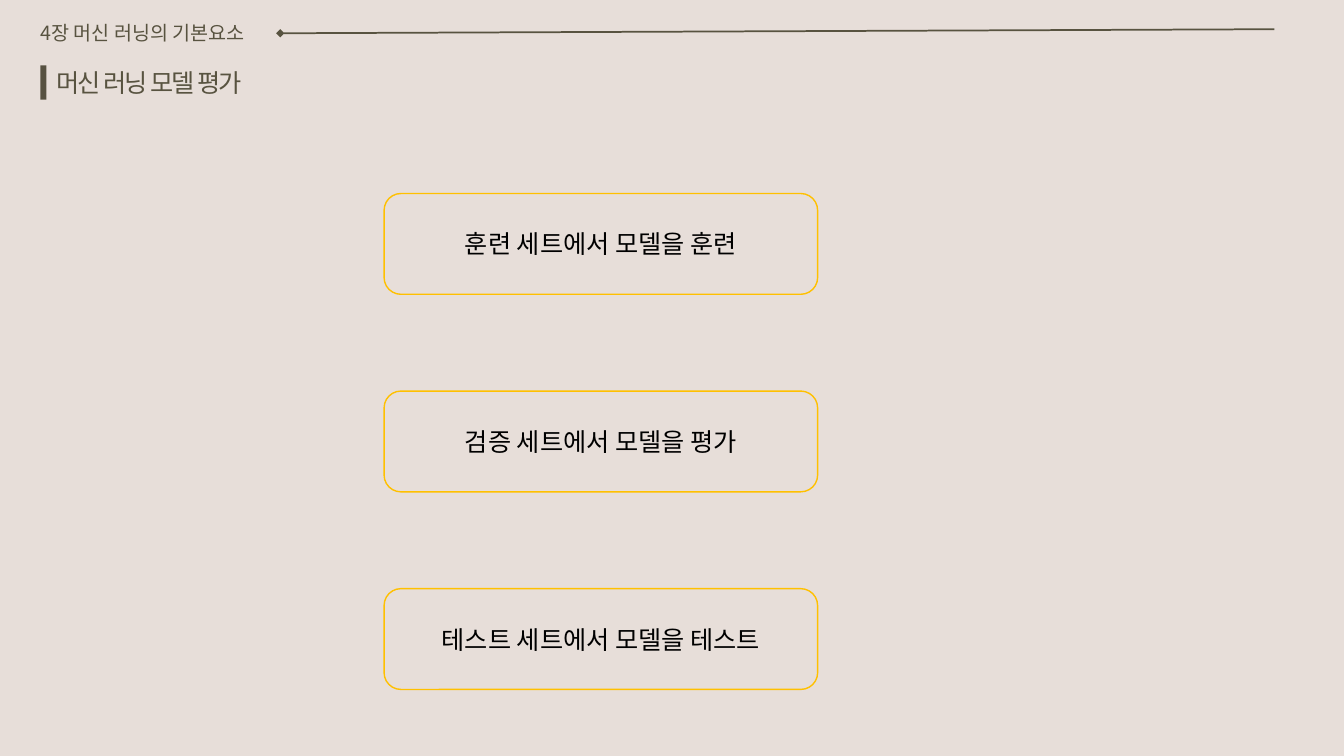
from dataclasses import dataclass

from lxml import etree
from pptx import Presentation
from pptx.dml.color import RGBColor
from pptx.enum.shapes import MSO_CONNECTOR, MSO_SHAPE
from pptx.enum.text import MSO_ANCHOR, PP_ALIGN
from pptx.oxml.ns import qn
from pptx.util import Inches, Pt

RECT = MSO_SHAPE.RECTANGLE
ROUND = MSO_SHAPE.ROUNDED_RECTANGLE
STRAIGHT = MSO_CONNECTOR.STRAIGHT
MIDDLE = MSO_ANCHOR.MIDDLE
LEFT, CENTER = PP_ALIGN.LEFT, PP_ALIGN.CENTER

# Content
CHAPTER = "4장 머신 러닝의 기본요소"
TITLE = "머신 러닝 모델 평가"
STEPS = [
    "훈련 세트에서 모델을 훈련",
    "검증 세트에서 모델을 평가",
    "테스트 세트에서 모델을 테스트",
]


@dataclass
class Theme:
    back: str = "E7DED9"
    brown: str = "585340"
    bar: str = "575141"
    gold: str = "FFC000"
    black: str = "000000"
    body: str = "Noto Sans CJK KR"
    head: str = "Arial"
    small: int = 14
    large: int = 18


theme = Theme()

# Layout in inches
STEP_LEFT, STEP_TOP, STEP_WIDTH, STEP_HEIGHT = 3.81, 1.92, 4.3, 1
STEP_PITCH = 1.96


def color(value):
    return RGBColor.from_string(value)


def write(shape, text, size, ink, font, align=LEFT):
    frame = shape.text_frame
    frame.text = text
    frame.paragraphs[0].alignment = align
    run = frame.paragraphs[0].runs[0]
    run.font.size = Pt(size)
    run.font.name = font
    run.font.color.rgb = color(ink)
    props = run.font._element
    etree.SubElement(props, qn("a:ea")).set("typeface", font)
    return props


def add_label(box, text, size, font, wrap):
    label = slide.shapes.add_textbox(*map(Inches, box))
    label.text_frame.word_wrap = wrap
    return write(label, text, size, theme.brown, font)


def add_block(kind, box, fill, line=None):
    block = slide.shapes.add_shape(kind, *map(Inches, box))
    block.shadow.inherit = False
    block.fill.solid()
    block.fill.fore_color.rgb = color(fill)
    if line:
        block.line.color.rgb = color(line)
        block.line.width = Pt(1)
    else:
        block.line.fill.background()
    return block


deck = Presentation()
deck.slide_width, deck.slide_height = Inches(13.33), Inches(7.5)
slide = deck.slides.add_slide(deck.slide_layouts[6])
slide.background.fill.solid()
slide.background.fill.fore_color.rgb = color(theme.back)

# Header rule with a diamond at its start
rule = slide.shapes.add_connector(STRAIGHT, *map(Inches, (2.78, 0.33, 12.64, 0.29)))
rule.line.color.rgb = color(theme.brown)
rule.line.width = Pt(1.25)
etree.SubElement(rule.line._get_or_add_ln(), qn("a:headEnd")).set("type", "diamond")
etree.SubElement(rule._element.spPr, qn("a:effectLst"))

# Title with its bar, and chapter name
add_block(RECT, (0.4, 0.65, 0.06, 0.34), theme.bar)
props = add_label((0.46, 0.62, 3.78, 0.4), TITLE, theme.large, theme.head, True)
props.set("spc", "-150")
add_label((0.3, 0.16, 2.48, 0.34), CHAPTER, theme.small, theme.body, False)

# Steps, evenly spaced down the slide
for row, step in enumerate(STEPS):
    box = (STEP_LEFT, STEP_TOP + row * STEP_PITCH, STEP_WIDTH, STEP_HEIGHT)
    block = add_block(ROUND, box, theme.back, theme.gold)
    block.text_frame.vertical_anchor = MIDDLE
    write(block, step, theme.large, theme.black, theme.body, CENTER)

deck.save("out.pptx")
